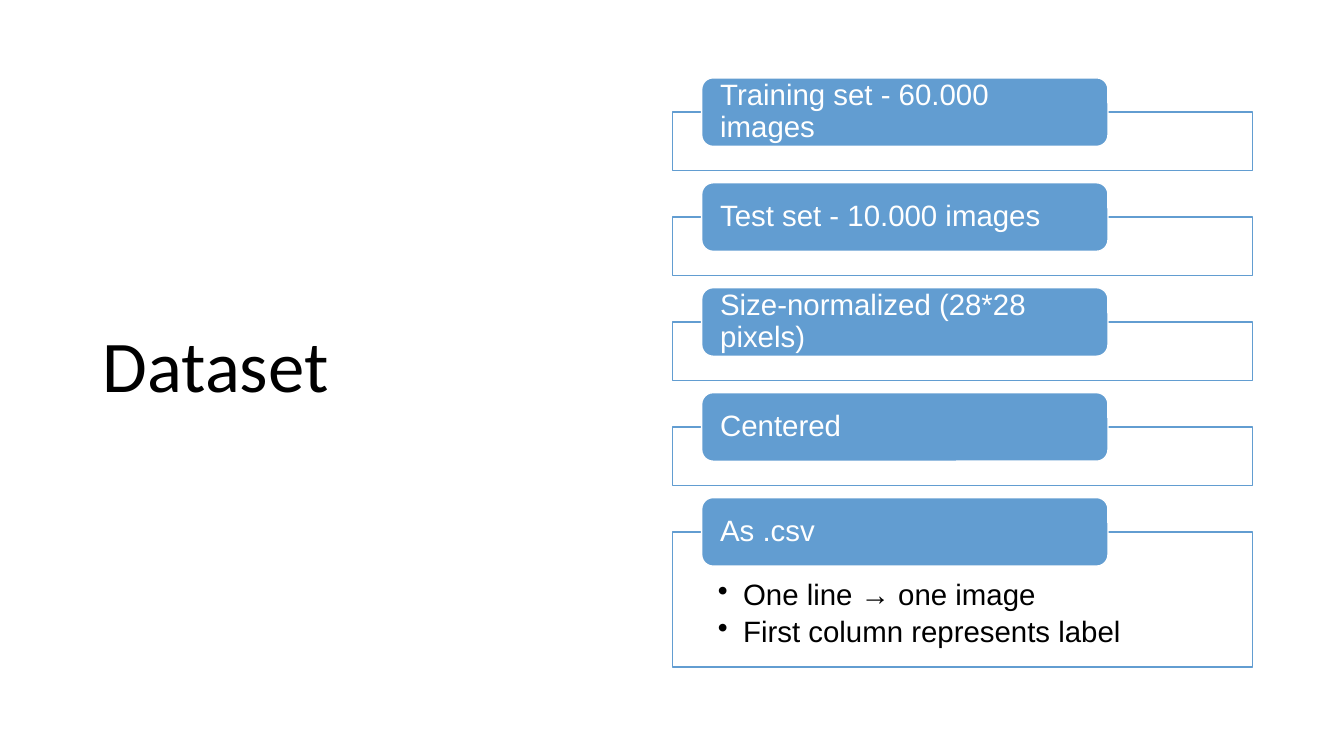
from dataclasses import dataclass

from lxml import etree
from pptx import Presentation
from pptx import util as u
from pptx.dml import color
from pptx.enum import shapes, text
from pptx.oxml import ns

SLIDE_WIDTH, SLIDE_HEIGHT = u.Inches(13.33), u.Inches(7.5)
BLUE, WHITE, BLACK = "629DD1", "FFFFFF", "000000"

# Shares of the slide's width and height, in percent
FRAME_LEFT, FRAME_WIDTH = 50.04, 43.14
TAB_LEFT, TAB_WIDTH, TAB_HEIGHT = 52.21, 30.23, 9.07
FIRST_TAB_TOP, ROW_PITCH = 10.3, 13.88


@dataclass
class Row:
    heading: str
    details: tuple[str, ...] = ()
    frame_height: float = 7.73


@dataclass
class Box:
    """A rectangle in percent of the slide's width and height."""
    left: float
    top: float
    width: float
    height: float

    def lengths(self) -> tuple[int, int, int, int]:
        return (
            round(SLIDE_WIDTH * self.left / 100),
            round(SLIDE_HEIGHT * self.top / 100),
            round(SLIDE_WIDTH * self.width / 100),
            round(SLIDE_HEIGHT * self.height / 100),
        )


ROWS = [
    Row("Training set - 60.000 images"),
    Row("Test set - 10.000 images"),
    Row("Size-normalized (28*28 pixels)"),
    Row("Centered"),
    Row("As .csv", ("One line → one image", "First column represents label"), 17.87),
]


def rgb(value: str) -> color.RGBColor:
    return color.RGBColor.from_string(value)


def add_box(slide, kind, box: Box, fill: str, line: str):
    shape = slide.shapes.add_shape(kind, *box.lengths())
    shape.shadow.inherit = False
    shape.fill.solid()
    shape.fill.fore_color.rgb = rgb(fill)
    shape.line.color.rgb = rgb(line)
    shape.line.width = u.Pt(1)
    return shape


def set_opacity(shape, percent: int) -> None:
    fill_color = shape.fill._xPr.find(ns.qn("a:solidFill"))[0]
    etree.SubElement(fill_color, ns.qn("a:alpha"), val=str(percent * 1000))


def set_frame(frame, anchor, margins: tuple[float, float, float, float]) -> None:
    """Set wrapping, anchor and the left, top, right and bottom margins in inches."""
    frame.word_wrap = True
    frame.vertical_anchor = anchor
    (frame.margin_left, frame.margin_top,
     frame.margin_right, frame.margin_bottom) = map(u.Inches, margins)


def write(paragraph, words: str, size: int, font: str, ink: str) -> None:
    paragraph.alignment = text.PP_ALIGN.LEFT
    paragraph.line_spacing = 0.9
    run = paragraph.add_run()
    run.text = words
    run.font.size = u.Pt(size)
    run.font.name = font
    run.font.color.rgb = rgb(ink)


def add_bullet(paragraph) -> None:
    properties = paragraph._p.get_or_add_pPr()
    properties.set("marL", str(u.Inches(0.25)))
    properties.set("indent", str(-u.Inches(0.25)))
    etree.SubElement(properties, ns.qn("a:buChar"), char="•")


def add_title(slide, words: str) -> None:
    shape = slide.shapes.add_textbox(*Box(6.9, 8.13, 39.91, 81.2).lengths())
    set_frame(shape.text_frame, text.MSO_ANCHOR.MIDDLE, (0.1, 0.05, 0.1, 0.05))
    write(shape.text_frame.paragraphs[0], words, 52, "Calibri", BLACK)


def add_row(slide, row: Row, tab_top: float) -> None:
    """Draw the frame with its details, then the heading tab over its top edge."""
    frame_box = Box(FRAME_LEFT, tab_top + TAB_HEIGHT / 2, FRAME_WIDTH, row.frame_height)
    frame = add_box(slide, shapes.MSO_SHAPE.RECTANGLE, frame_box, WHITE, BLUE)
    set_opacity(frame, 90)
    set_frame(frame.text_frame, text.MSO_ANCHOR.TOP, (0.45, 0.48, 0.45, 0.16))
    for index, detail in enumerate(row.details):
        body = frame.text_frame
        paragraph = body.add_paragraph() if index else body.paragraphs[0]
        write(paragraph, detail, 21, "Arial", BLACK)
        paragraph.space_after = u.Pt(4)
        add_bullet(paragraph)

    tab_box = Box(TAB_LEFT, tab_top, TAB_WIDTH, TAB_HEIGHT)
    tab = add_box(slide, shapes.MSO_SHAPE.ROUNDED_RECTANGLE, tab_box, BLUE, WHITE)
    set_frame(tab.text_frame, text.MSO_ANCHOR.MIDDLE, (0.15, 0, 0.15, 0))
    write(tab.text_frame.paragraphs[0], row.heading, 21, "Arial", WHITE)


def main() -> None:
    presentation = Presentation()
    presentation.slide_width, presentation.slide_height = SLIDE_WIDTH, SLIDE_HEIGHT
    slide = presentation.slides.add_slide(presentation.slide_layouts[6])
    add_title(slide, "Dataset")
    for index, row in enumerate(ROWS):
        add_row(slide, row, FIRST_TAB_TOP + index * ROW_PITCH)
    presentation.save("out.pptx")


if __name__ == "__main__":
    main()
